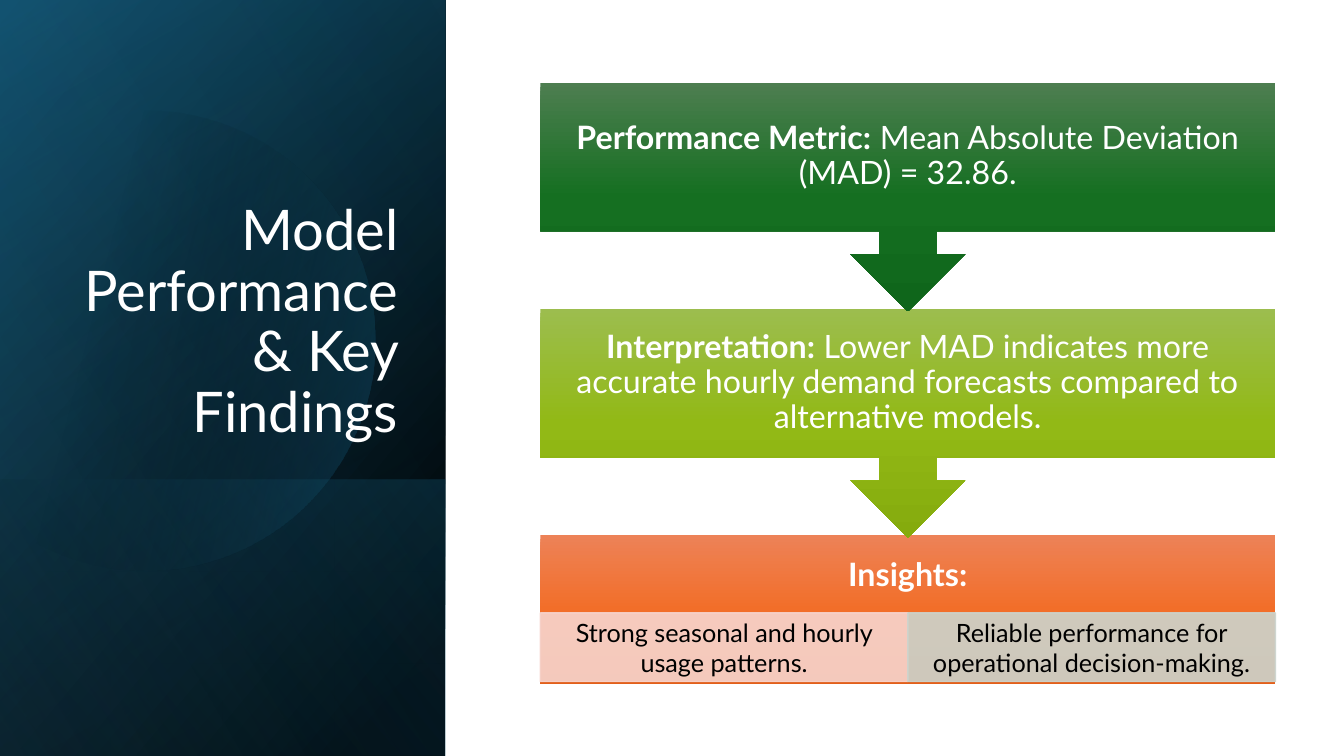
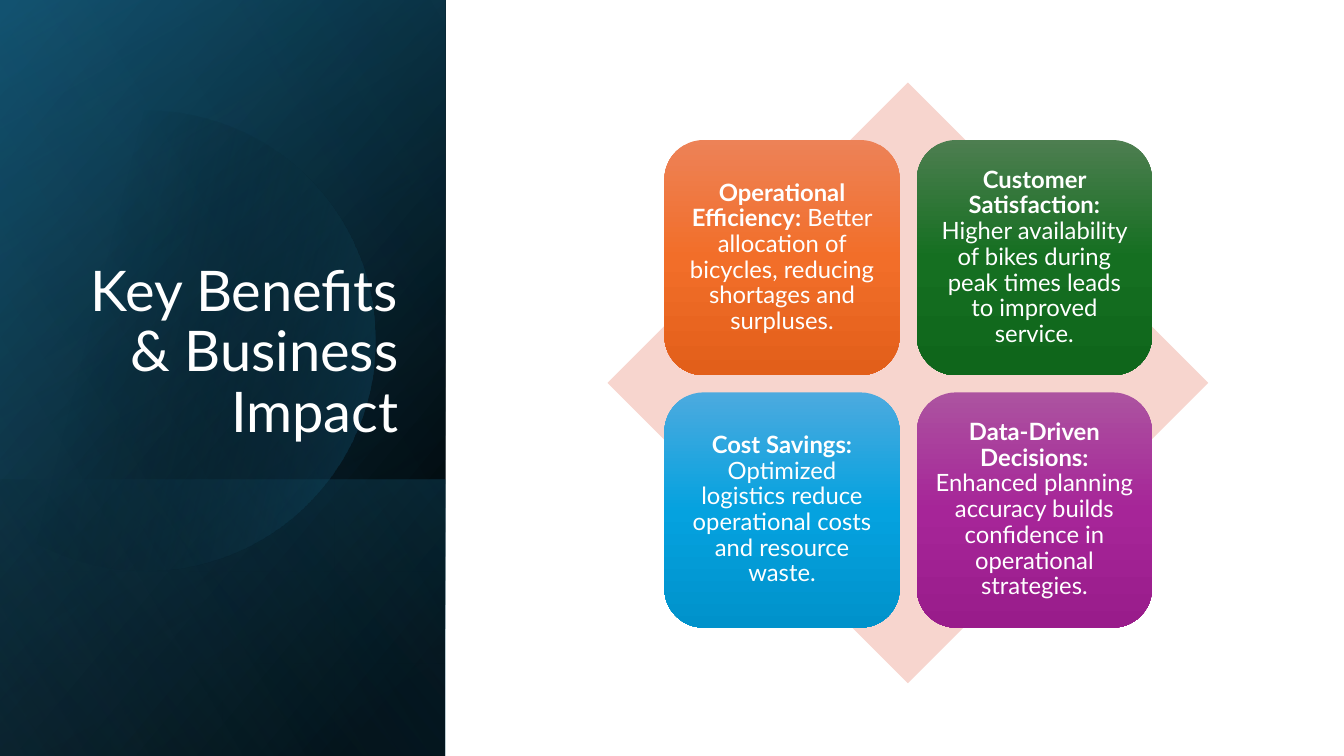
"""Build two slides with a dark title panel: a findings flow and a benefits matrix."""
import math

from lxml import etree
from pptx import Presentation
from pptx.dml.color import RGBColor
from pptx.enum.shapes import MSO_SHAPE
from pptx.enum.text import MSO_ANCHOR, PP_ALIGN
from pptx.oxml.ns import qn
from pptx.util import Pt

RECT = MSO_SHAPE.RECTANGLE
ROUNDED = MSO_SHAPE.ROUNDED_RECTANGLE
CALLOUT = MSO_SHAPE.DOWN_ARROW_CALLOUT
DIAMOND = MSO_SHAPE.DIAMOND
MIDDLE, BOTTOM = MSO_ANCHOR.MIDDLE, MSO_ANCHOR.BOTTOM
CENTER, RIGHT = PP_ALIGN.CENTER, PP_ALIGN.RIGHT

FONT = "Lato"
COLORS = {
    "white": "FFFFFF", "black": "000000", "navy": "104862",
    "teal": "156082", "sky": "46B1E1", "blush": "F7D5CE", "sage": "CCD4CD",
}
TONES = {
    "orange": ("ED8257", "F26E29", "E25F1A"),
    "green": ("4D7E50", "156F21", "0F661B"),
    "lime": ("9CBD4E", "92B916", "85AB0D"),
    "blue": ("4CAADF", "05A2DF", "0092CB"),
    "purple": ("AC53A0", "A62598", "991C8B"),
}

FINDINGS_TITLE = "Model Performance & Key Findings"
STEPS = [
    ("green", "Performance Metric:", " Mean Absolute Deviation (MAD) = 32.86."),
    ("lime", "Interpretation:", " Lower MAD indicates more accurate hourly demand "
     "forecasts compared to alternative models."),
]
INSIGHTS_HEADING = "Insights:"
INSIGHTS = [
    ("blush", "Strong seasonal and hourly usage patterns."),
    ("sage", "Reliable performance for operational decision-making."),
]
BENEFITS_TITLE = "Key Benefits & Business Impact"
BENEFITS = [
    ("orange", "Operational Efficiency:",
     " Better allocation of bicycles, reducing shortages and surpluses."),
    ("green", "Customer Satisfaction:",
     " Higher availability of bikes during peak times leads to improved service."),
    ("blue", "Cost Savings:",
     " Optimized logistics reduce operational costs and resource waste."),
    ("purple", "Data-Driven Decisions:",
     " Enhanced planning accuracy builds confidence in operational strategies."),
]

SLIDE_W, SLIDE_H = 960, 540
PANEL_W, PANEL_FOOT = 318, 342.7
TITLE_BOX = (46, 132.5, 245.5, 188.5)
DISC_X, DISC_Y, DISC_R = 103.7, 243.4, 164.2
BASE_LAYERS = [
    (0, 220, [(8, "black", 100), (100, "navy", 100)]),
    (0, 240, [(0, "black", 0), (99, "teal", 46)]),
    (PANEL_FOOT, 140, [(2, "teal", 29), (100, "black", 30)]),
]
DISC_STOPS = [(29, "black", 0), (100, "teal", 43)]
GLOW_LAYER = (0, 150, [(0, "black", 0), (99, "sky", 11)])

FLOW_X, FLOW_Y, FLOW_W, FLOW_PITCH = 386, 59, 525, 161.7
STEP_H, INSIGHTS_H = 163.5, 106
CELL_Y, CELL_H = 437.8, 49
DIAMOND_BOX = (434, 59, 429, 429)
TILE_X, TILE_Y, TILE, TILE_PITCH = 474.6, 100, 168, 180.3


def set_alpha(clr, percent):
    if percent < 100:
        etree.SubElement(clr, qn("a:alpha")).set("val", str(percent * 1000))


def fill_gradient(sp, stops, angle):
    sp.fill.gradient()
    sp.fill.gradient_angle = 360 - angle
    gs_list = next(sp.element.spPr.iter(qn("a:gsLst")))
    for gs in list(gs_list):
        gs_list.remove(gs)
    for pos, color, opacity in stops:
        gs = etree.SubElement(gs_list, qn("a:gs"))
        gs.set("pos", str(pos * 1000))
        clr = etree.SubElement(gs, qn("a:srgbClr"))
        clr.set("val", COLORS.get(color, color))
        set_alpha(clr, opacity)


def fill_tone(sp, tone):
    fill_gradient(sp, [(i * 50, c, 100) for i, c in enumerate(TONES[tone])], 90)


def fill_solid(sp, color):
    sp.fill.solid()
    sp.fill.fore_color.rgb = RGBColor.from_string(COLORS[color])


def strip(sp):
    sp.shadow.inherit = False
    sp.line.fill.background()
    return sp


def add_shape(s, kind, *box):
    return strip(s.shapes.add_shape(kind, *map(Pt, box)))


def add_text(sp, runs, size, color="white", align=CENTER, anchor=MIDDLE,
             margins=(13, 13, 13, 13), spacing=0.9):
    tf = sp.text_frame
    tf.word_wrap = True
    tf.vertical_anchor = anchor
    tf.margin_left, tf.margin_top, tf.margin_right, tf.margin_bottom = map(Pt, margins)
    p = tf.paragraphs[0]
    p.alignment = align
    p.line_spacing = spacing
    p.font.name = FONT
    p.font.size = Pt(size)
    p.font.color.rgb = RGBColor.from_string(COLORS[color])
    for text, bold in runs:
        r = p.add_run()
        r.text = text
        r.font.bold = bold


def add_layer(s, top, angle, stops):
    fill_gradient(add_shape(s, RECT, 0, top, PANEL_W, SLIDE_H - top), stops, angle)


def add_disc(s):
    cut = math.degrees(math.acos(-DISC_X / DISC_R))
    steps = 90
    angles = [math.radians(cut * (2 * i / steps - 1)) for i in range(steps + 1)]
    points = [(Pt(DISC_X + DISC_R * math.cos(a)), Pt(DISC_Y + DISC_R * math.sin(a)))
              for a in angles]
    builder = s.shapes.build_freeform(*points[0])
    builder.add_line_segments(points[1:], close=True)
    fill_gradient(strip(builder.convert_to_shape()), DISC_STOPS, 14)


def new_slide(prs, title):
    s = prs.slides.add_slide(prs.slide_layouts[6])
    for layer in BASE_LAYERS:
        add_layer(s, *layer)
    add_disc(s)
    add_layer(s, *GLOW_LAYER)
    box = s.shapes.add_textbox(*map(Pt, TITLE_BOX))
    add_text(box, [(title, False)], 40, align=RIGHT, anchor=BOTTOM,
             margins=(7.2, 3.6, 7.2, 3.6))
    return s


def build_findings(prs):
    s = new_slide(prs, FINDINGS_TITLE)
    insights_y = FLOW_Y + len(STEPS) * FLOW_PITCH
    sp = add_shape(s, RECT, FLOW_X, insights_y, FLOW_W, INSIGHTS_H)
    fill_tone(sp, "orange")
    add_text(sp, [(INSIGHTS_HEADING, True)], 23, margins=(13, 13, 13, 61.5))
    cell_w = FLOW_W / len(INSIGHTS)
    for i, (color, text) in enumerate(INSIGHTS):
        sp = add_shape(s, RECT, FLOW_X + i * cell_w, CELL_Y, cell_w, CELL_H)
        fill_solid(sp, color)
        sp.line.color.rgb = RGBColor.from_string(COLORS[color])
        sp.line.width = Pt(1)
        for clr in sp.element.spPr.iter(qn("a:srgbClr")):
            set_alpha(clr, 90)
        add_text(sp, [(text, False)], 18, "black", margins=(10, 2, 10, 2), spacing=1.0)
    for i, (tone, lead, body) in reversed(list(enumerate(STEPS))):
        sp = add_shape(s, CALLOUT, FLOW_X, FLOW_Y + i * FLOW_PITCH, FLOW_W, STEP_H)
        fill_tone(sp, tone)
        add_text(sp, [(lead, True), (body, False)], 23)


def build_benefits(prs):
    s = new_slide(prs, BENEFITS_TITLE)
    fill_solid(add_shape(s, DIAMOND, *DIAMOND_BOX), "blush")
    for i, (tone, lead, body) in enumerate(BENEFITS):
        row, col = divmod(i, 2)
        sp = add_shape(s, ROUNDED, TILE_X + col * TILE_PITCH,
                       TILE_Y + row * TILE_PITCH, TILE, TILE)
        fill_tone(sp, tone)
        add_text(sp, [(lead, True), (body, False)], 17, margins=(5, 5, 5, 5))


def main():
    prs = Presentation()
    prs.slide_width, prs.slide_height = Pt(SLIDE_W), Pt(SLIDE_H)
    build_findings(prs)
    build_benefits(prs)
    prs.save("out.pptx")


if __name__ == "__main__":
    main()
